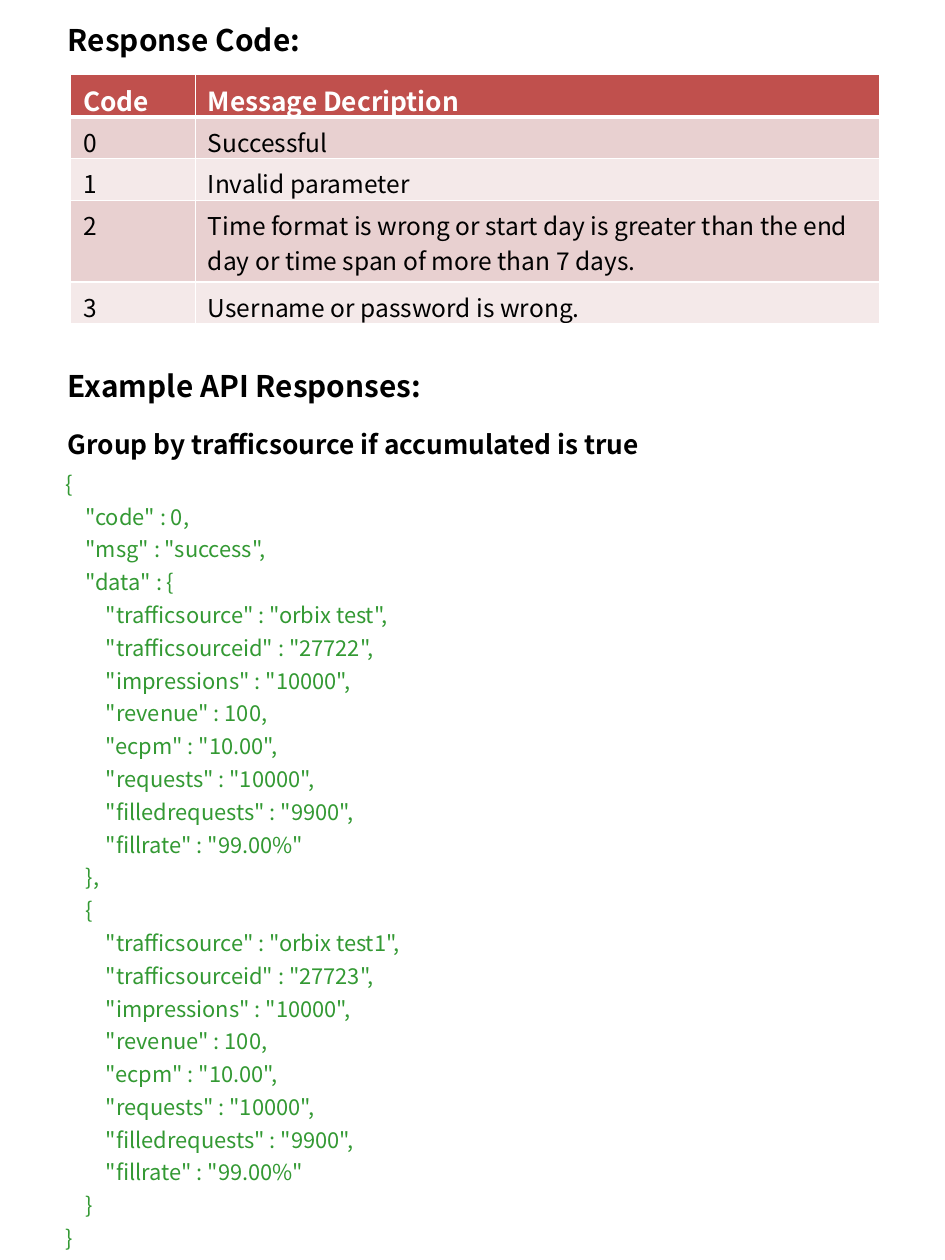
"""Builds an API reference slide with a response code table and a sample response."""
import pptx
import pptx.dml.color
import pptx.enum.text
import pptx.oxml
import pptx.oxml.ns
import pptx.util

Inches = pptx.util.Inches
Pt = pptx.util.Pt
RGBColor = pptx.dml.color.RGBColor

FONT = "Noto Sans CJK SC"
BLACK = RGBColor(0x00, 0x00, 0x00)
WHITE = RGBColor(0xFF, 0xFF, 0xFF)
GREEN = RGBColor(0x33, 0x99, 0x33)
RED = RGBColor(0xC0, 0x50, 0x4D)
BANDS = (RGBColor(0xE8, 0xD0, 0xD0), RGBColor(0xF4, 0xE9, 0xE9))

HEADINGS = [
    ("Response Code:", 0.12, 3.75, 0.39, 17),
    ("Example API Responses:", 2.87, 3.75, 0.39, 17),
    ("Group by trafficsource if accumulated is true", 3.35, 4.99, 0.35, 15),
]
CODES = [
    ("Code", "Message Decription"),
    ("0", "Successful"),
    ("1", "Invalid parameter"),
    ("2", "Time format is wrong or start day is greater than the end day "
          "or time span of more than 7 days."),
    ("3", "Username or password is wrong."),
]
COLUMN_WIDTHS = (0.99, 5.43)
ROW_HEIGHTS = (0.34, 0.33, 0.33, 0.65, 0.33)
SOURCES = [("orbix test", "27722"), ("orbix test1", "27723")]
METRICS = [
    '"impressions" : "10000",',
    '"revenue" : 100,',
    '"ecpm" : "10.00",',
    '"requests" : "10000",',
    '"filledrequests" : "9900",',
    '"fillrate" : "99.00%"',
]
INDENT = 0.16


def source_lines(name, number):
    fields = [f'"trafficsource" : "{name}",', f'"trafficsourceid" : "{number}",']
    return [(2, text) for text in fields + METRICS]


RESPONSE = [
    (0, "{"), (1, '"code" : 0,'), (1, '"msg" : "success",'), (1, '"data" : {'),
    *source_lines(*SOURCES[0]), (1, "},"), (1, "{"),
    *source_lines(*SOURCES[1]), (1, "}"), (0, "}"),
]


def add_text(paragraph, text, size, color, bold=False):
    run = paragraph.add_run()
    run.text = text
    run.font.size = Pt(size)
    run.font.bold = bold
    run.font.color.rgb = color
    run.font.name = FONT
    properties = run.font._element
    east_asian = pptx.oxml.parse_xml(
        f'<a:ea {pptx.oxml.ns.nsdecls("a")} typeface="{FONT}"/>')
    properties.append(east_asian)


def set_borders(cell, widths):
    properties = cell._tc.get_or_add_tcPr()
    for position, (side, width) in enumerate(zip("LRTB", widths)):
        properties.insert(position, pptx.oxml.parse_xml(
            f'<a:ln{side} {pptx.oxml.ns.nsdecls("a")} w="{Pt(width)}">'
            f'<a:solidFill><a:srgbClr val="{WHITE}"/></a:solidFill></a:ln{side}>'))


def add_heading(slide, text, top, width, height, size):
    shape = slide.shapes.add_textbox(
        Inches(0.44), Inches(top), Inches(width), Inches(height))
    shape.text_frame.word_wrap = True
    add_text(shape.text_frame.paragraphs[0], text, size, BLACK, True)


def add_code_table(slide):
    table = slide.shapes.add_table(
        len(CODES), len(COLUMN_WIDTHS), Inches(0.56), Inches(0.59),
        Inches(sum(COLUMN_WIDTHS)), Inches(sum(ROW_HEIGHTS))).table
    for column, width in zip(table.columns, COLUMN_WIDTHS):
        column.width = Inches(width)
    for index, (row, height, texts) in enumerate(zip(table.rows, ROW_HEIGHTS, CODES)):
        row.height = Inches(height)
        header = index == 0
        for cell, text in zip(row.cells, texts):
            cell.margin_bottom = 0
            cell.fill.solid()
            cell.fill.fore_color.rgb = RED if header else BANDS[(index - 1) % 2]
            set_borders(cell, (1, 1, 3 if index == 1 else 1, 3 if header else 1))
            add_text(cell.text_frame.paragraphs[0], text, 15 if header else 14,
                     WHITE if header else BLACK, header)


def add_response(slide):
    shape = slide.shapes.add_textbox(
        Inches(0.52), Inches(3.66), Inches(4.41), Inches(6.29))
    frame = shape.text_frame
    frame.word_wrap = True
    frame.vertical_anchor = pptx.enum.text.MSO_ANCHOR.MIDDLE
    frame.margin_left = frame.margin_right = frame.margin_top = frame.margin_bottom = 0
    for index, (level, text) in enumerate(RESPONSE):
        paragraph = frame.add_paragraph() if index else frame.paragraphs[0]
        paragraph.line_spacing = 1.25
        paragraph._p.get_or_add_pPr().set("marL", str(Inches(INDENT * level)))
        add_text(paragraph, text, 12.5, GREEN)


presentation = pptx.Presentation()
presentation.slide_width = Inches(7.5)
presentation.slide_height = Inches(10)
slide = presentation.slides.add_slide(presentation.slide_layouts[6])
for heading in HEADINGS:
    add_heading(slide, *heading)
add_code_table(slide)
add_response(slide)
presentation.save("out.pptx")
